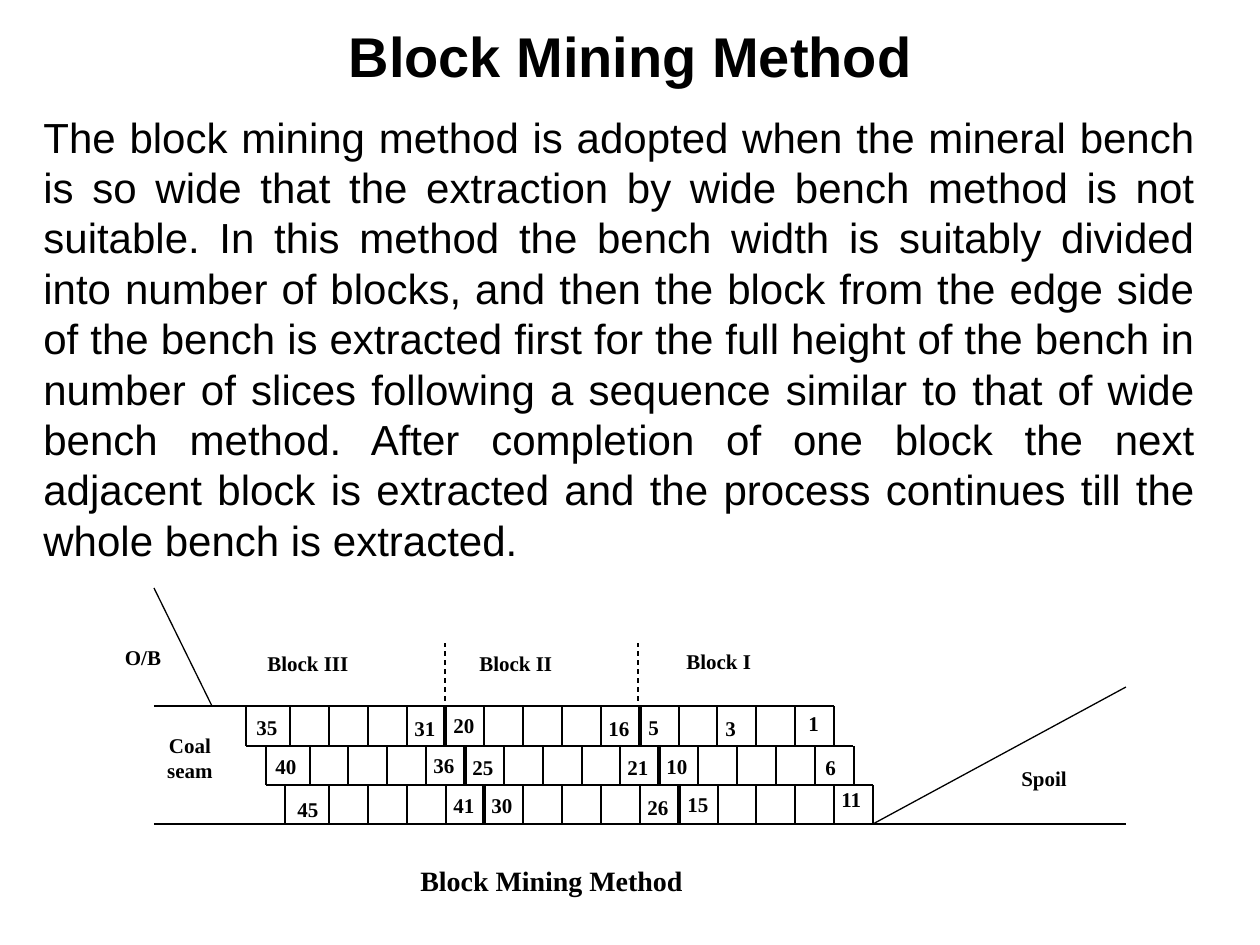
from lxml.etree import SubElement
from pptx import Presentation
from pptx.dml.color import RGBColor
from pptx.enum.dml import MSO_LINE
from pptx.enum.shapes import MSO_CONNECTOR, MSO_SHAPE
from pptx.enum.text import MSO_ANCHOR, MSO_AUTO_SIZE, PP_ALIGN
from pptx.oxml.ns import qn
from pptx.util import Emu, Pt

PX_PER_INCH = 126
COLORS = {"ink": "000000", "paper": "FFFFFF"}
HEADING_FONT, LABEL_FONT = "Arial", "Times New Roman"

TITLE = "Block Mining Method"
BODY = (
    "The block mining method is adopted when the mineral bench is so wide that "
    "the extraction by wide bench method is not suitable. In this method the "
    "bench width is suitably divided into number of blocks, and then the block "
    "from the edge side of the bench is extracted first for the full height of "
    "the bench in number of slices following a sequence similar to that of wide "
    "bench method. After completion of one block the next adjacent block is "
    "extracted and the process continues till the whole bench is extracted."
)

# Extraction order of the slices: number, left, top
SLICE_NUMBERS = [
    (45, 285, 790), (40, 263, 747), (35, 244, 708),
    (41, 441, 786), (36, 421, 746), (31, 402, 709),
    (26, 635, 788), (21, 615, 748), (30, 479, 786),
    (25, 460, 748), (20, 441, 706), (16, 596, 709),
    (15, 675, 785), (11, 829, 780), (10, 654, 747),
    (6, 813, 748), (5, 636, 708), (3, 713, 709), (1, 796, 704),
]
ROW_EDGES = [706, 746, 785, 824]
ROW_SHIFT = 19.5
FIRST_SLICE_LEFT, SLICE_LEFT, SLICE_WIDTH = 246, 290, 38.86
DIVIDERS = 15
BLOCK_BOUNDARIES = (4, 9)


def px(length):
    return Emu(round(length * 914400 / PX_PER_INCH))


def color(name):
    return RGBColor.from_string(COLORS[name])


class SlideBuilder:
    def __init__(self, slide):
        self.shapes = slide.shapes

    def add_words(self, frame, words, size, font, bold, align):
        frame.word_wrap = True
        paragraph = frame.paragraphs[0]
        paragraph.alignment = align
        run = paragraph.add_run()
        run.text = words
        run.font.name = font
        run.font.size = Pt(size)
        run.font.bold = bold
        run.font.color.rgb = color("ink")

    def text(self, box, words, size, font, bold=True, align=PP_ALIGN.CENTER):
        frame = self.shapes.add_textbox(*map(px, box)).text_frame
        self.add_words(frame, words, size, font, bold, align)
        return frame

    def label(self, box, words, size=12, align=PP_ALIGN.LEFT):
        """Add a white, unframed rectangle with bold lettering."""
        plate = self.shapes.add_shape(MSO_SHAPE.RECTANGLE, *map(px, box))
        plate.shadow.inherit = False
        plate.fill.solid()
        plate.fill.fore_color.rgb = color("paper")
        plate.line.fill.background()
        plate.text_frame.vertical_anchor = MSO_ANCHOR.TOP
        self.add_words(plate.text_frame, words, size, LABEL_FONT, True, align)

    def line(self, x1, y1, x2, y2, width=0.75, dashed=False):
        edge = self.shapes.add_connector(
            MSO_CONNECTOR.STRAIGHT, *map(px, (x1, y1, x2, y2)))
        edge.line.color.rgb = color("ink")
        edge.line.width = Pt(width)
        if dashed:
            edge.line.dash_style = MSO_LINE.DASH
        SubElement(edge._element.spPr, qn("a:effectLst"))


def draw_text(builder):
    title = builder.text((95, 19, 1071, 73), TITLE, 32, HEADING_FONT)
    title.vertical_anchor = MSO_ANCHOR.MIDDLE
    body = builder.text((31, 105, 1176, 466), BODY, 24, HEADING_FONT,
                        bold=False, align=PP_ALIGN.JUSTIFY)
    body.auto_size = MSO_AUTO_SIZE.SHAPE_TO_FIT_TEXT
    body.paragraphs[0].line_spacing = Pt(28.8)


def draw_bench(builder):
    """Draw the three rows of slices, each shifted to the right of the one above."""
    for row, (top, bottom) in enumerate(zip(ROW_EDGES, ROW_EDGES[1:])):
        shift = row * ROW_SHIFT
        left = round(FIRST_SLICE_LEFT + shift)
        builder.line(left, top, left, bottom)
        for index in range(DIVIDERS):
            x = round(SLICE_LEFT + shift + index * SLICE_WIDTH)
            width = 2.25 if index in BLOCK_BOUNDARIES else 0.75
            builder.line(x, top, x, bottom, width)
    coal_top, second, third, floor = ROW_EDGES
    builder.line(154, coal_top, 834, coal_top)
    builder.line(246, second, 853, second)
    builder.line(266, third, 873, third)
    builder.line(154, floor, 1126, floor)
    builder.line(212, coal_top, 154, 588)
    builder.line(873, floor, 1126, 687)
    for boundary in (445, 638):
        builder.line(boundary, 701, boundary, 643, dashed=True)


def draw_labels(builder):
    builder.label((1009, 759, 125, 45), "Spoil")
    builder.text((134, 726, 112, 34), "Coal seam", 12, LABEL_FONT)
    builder.label((255, 644, 155, 39), "Block III")
    builder.label((467, 644, 149, 60), "Block II")
    builder.label((674, 642, 117, 39), "Block I")
    builder.label((408, 857, 441, 45), TITLE, size=16)


def main():
    deck = Presentation()
    deck.slide_width, deck.slide_height = px(1260), px(945)
    builder = SlideBuilder(deck.slides.add_slide(deck.slide_layouts[6]))
    draw_text(builder)
    for number, left, top in SLICE_NUMBERS:
        width = 58 if number > 9 else 39
        builder.label((left, top, width, 39), str(number))
    builder.label((84, 638, 118, 43), "O/B", align=PP_ALIGN.CENTER)
    draw_bench(builder)
    draw_labels(builder)
    deck.save("out.pptx")


if __name__ == "__main__":
    main()
